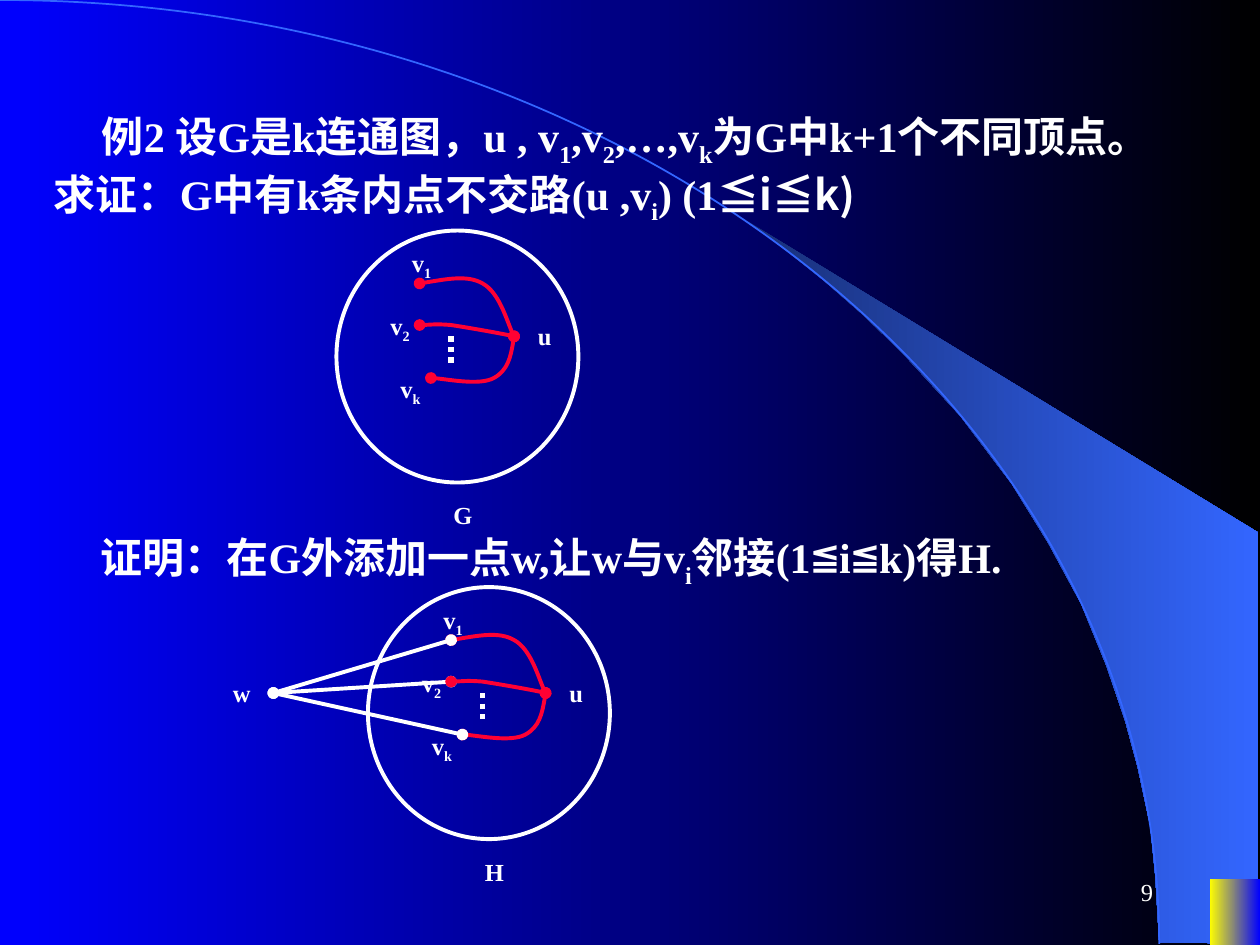
from lxml.etree import SubElement as Sub
from pptx import Presentation
from pptx.dml.color import RGBColor as Rgb
from pptx.enum.dml import MSO_LINE as Dash
from pptx.enum.shapes import MSO_CONNECTOR as Conn, MSO_SHAPE as Kind
from pptx.enum.text import MSO_ANCHOR as Anchor, PP_ALIGN as Align
from pptx.oxml.ns import qn
from pptx.util import Inches, Pt

WHITE, RED, BLUE = "FFFFFF", "FF0033", "3366FF"
ROMAN, HAN = "Times New Roman", "Noto Sans CJK SC"


def tint(color, code):
    color.rgb = Rgb.from_string(code)


def fade(fill, first, last):
    fill.gradient()
    fill.gradient_angle = 0
    for stop, code in zip(fill.gradient_stops, (first, last)):
        tint(stop.color, code)


def stroke(shape, code, width, ends=False):
    shape.line.width = Pt(width)
    tint(shape.line.color, code)
    if ends:
        ln = shape._element.spPr.find(qn("a:ln"))
        for tag in ("a:headEnd", "a:tailEnd"):
            Sub(ln, qn(tag)).set("type", "oval")


def text(shapes, box, words, size=14, bold=True, font=ROMAN, tail="",
         indent=0, align=Align.LEFT, anchor=Anchor.TOP):
    frame = shapes.add_textbox(*map(Inches, box)).text_frame
    frame.word_wrap = True
    frame.vertical_anchor = anchor
    para = frame.paragraphs[0]
    para.alignment = align
    if indent:
        para._p.get_or_add_pPr().set("indent", str(Inches(indent)))
    parts = [(part, font, i % 2) for i, part in enumerate(words.split("|"))]
    parts.append((tail, HAN, 0))
    for part, face, low in parts:
        if not part:
            continue
        run = para.add_run()
        run.text = part
        run.font.size, run.font.bold, run.font.name = Pt(size), bold, face
        tint(run.font.color, WHITE)
        props = run._r.get_or_add_rPr()
        Sub(props, qn("a:ea")).set("typeface", HAN)
        if low:
            props.set("baseline", "-25000")


def trace(shapes, x, y, points, close=False):
    spots = [(Inches(x + p), Inches(y + q)) for p, q in points]
    form = shapes.build_freeform(*spots[0], scale=1.0)
    form.add_line_segments(spots[1:], close=close)
    shape = form.convert_to_shape()
    shape.shadow.inherit = False
    shape.fill.background()
    return shape


def curve(shapes, x, y, points):
    shape = trace(shapes, x, y, points)
    steps = list(shape._element.iter(qn("a:lnTo")))
    route = steps[0].getparent()
    for k in range(0, len(steps), 3):
        bend = Sub(route, qn("a:cubicBezTo"))
        for step in steps[k:k + 3]:
            bend.append(step[0])
            route.remove(step)
    return shape


def link(shapes, start, end, width=2.25, ends=True):
    line = shapes.add_connector(Conn.STRAIGHT, *map(Inches, start + end))
    stroke(line, WHITE, width, ends)
    Sub(line._element.spPr, qn("a:effectLst"))
    return line


def decor(slide, w, h):
    fade(slide.background.fill, "0000FF", "000000")
    shapes = slide.shapes
    edge = [(9.2, 7.48), (9.99, 7.49), (9.99, 4.23), (5.89, 1.73), (6.24, 1.99),
            (6.53, 2.22), (6.85, 2.5), (7.16, 2.8), (7.62, 3.3), (8.03, 3.84),
            (8.32, 4.31), (8.58, 4.79), (8.78, 5.28), (8.93, 5.72), (9.03, 6.09),
            (9.13, 6.56), (9.17, 6.96)]
    blade = trace(shapes, 0, 0, edge, close=True)
    fade(blade.fill, "182F76", BLUE)
    blade.line.fill.background()
    arc = [(0, 0), (5.08, 0), (9.2, 3.35), (9.2, 7.49)]
    stroke(curve(shapes, 0, 0, arc), BLUE, 1)
    tab = shapes.add_shape(Kind.RECTANGLE, *map(Inches, (w - 0.4, h - 0.52, 0.4, 0.52)))
    tab.shadow.inherit = False
    fade(tab.fill, "FFFF00", "0000FF")
    tab.line.fill.background()
    text(shapes, (w - 2.83, h - 0.67, 2.08, 0.5), "9", bold=False,
         align=Align.RIGHT, anchor=Anchor.MIDDLE)


def graph(slide, x, y, name, apex=False):
    shapes = slide.shapes.add_group_shape().shapes
    one, two, last, hub = (0.66, 0.42), (0.66, 0.75), (0.75, 1.17), (1.41, 0.84)

    def at(spot):
        return x + spot[0], y + spot[1]

    top = at((-0.75, 0.84))
    if apex:
        link(shapes, top, at(two))
    ring = shapes.add_shape(Kind.OVAL, *map(Inches, (x, y, 1.92, 2)))
    ring.shadow.inherit = False
    ring.fill.background()
    stroke(ring, WHITE, 2.25)
    for points in (
        [one, (0.85, 0.39), (1.04, 0.35), (1.16, 0.42), (1.29, 0.49), (1.37, 0.77), hub],
        [two, (0.73, 0.75), (0.79, 0.74), (0.91, 0.75), (1.04, 0.77), (1.33, 0.82), hub],
        [hub, (1.39, 0.98), (1.36, 1.11), (1.25, 1.17), (1.14, 1.23), (0.83, 1.17), last],
    ):
        stroke(curve(shapes, x, y, points), RED, 2.25, ends=True)
    dots = link(shapes, at((0.91, 0.84)), at((0.91, 1.09)), 3, ends=False)
    dots.line.dash_style = Dash.ROUND_DOT
    marks = [(name, 0.83, 2.09, 0.75, 0.34), ("v|1", 0.5, 0.09, 0.43, 0.37),
             ("u", 1.5, 0.67, 0.27, 0.34), ("v|2", 0.33, 0.59, 0.43, 0.37),
             ("v|k", 0.41, 1.09, 0.43, 0.37)]
    if apex:
        for spot in (one, last):
            link(shapes, top, at(spot))
        marks.append(("w", -1.17, 0.67, 0.35, 0.34))
    for mark, p, q, w, h in marks:
        text(shapes, (x + p, y + q, w, h), mark)


def main():
    deck = Presentation()
    deck.slide_width, deck.slide_height = Inches(10), Inches(7.5)
    slide = deck.slides.add_slide(deck.slide_layouts[6])
    decor(slide, 10, 7.5)
    text(slide.shapes, (0.33, 0.83, 8.67, 1.01),
         "例2 设G是k连通图，u , v|1|,v|2|,…,v|k|为G中k+1个不同顶点。"
         "求证：G中有k条内点不交路(u ,v|i|) (1", size=24, tail="≦i≦k)", indent=0.38)
    text(slide.shapes, (0.17, 4.17, 8.67, 0.96),
         "证明：在G外添加一点w,让w与v|i|邻接(1≦i≦k)得H.", size=24, indent=0.53)
    graph(slide, 2.67, 1.83, "G")
    graph(slide, 2.92, 4.66, "H", apex=True)
    deck.save("out.pptx")


if __name__ == "__main__":
    main()
